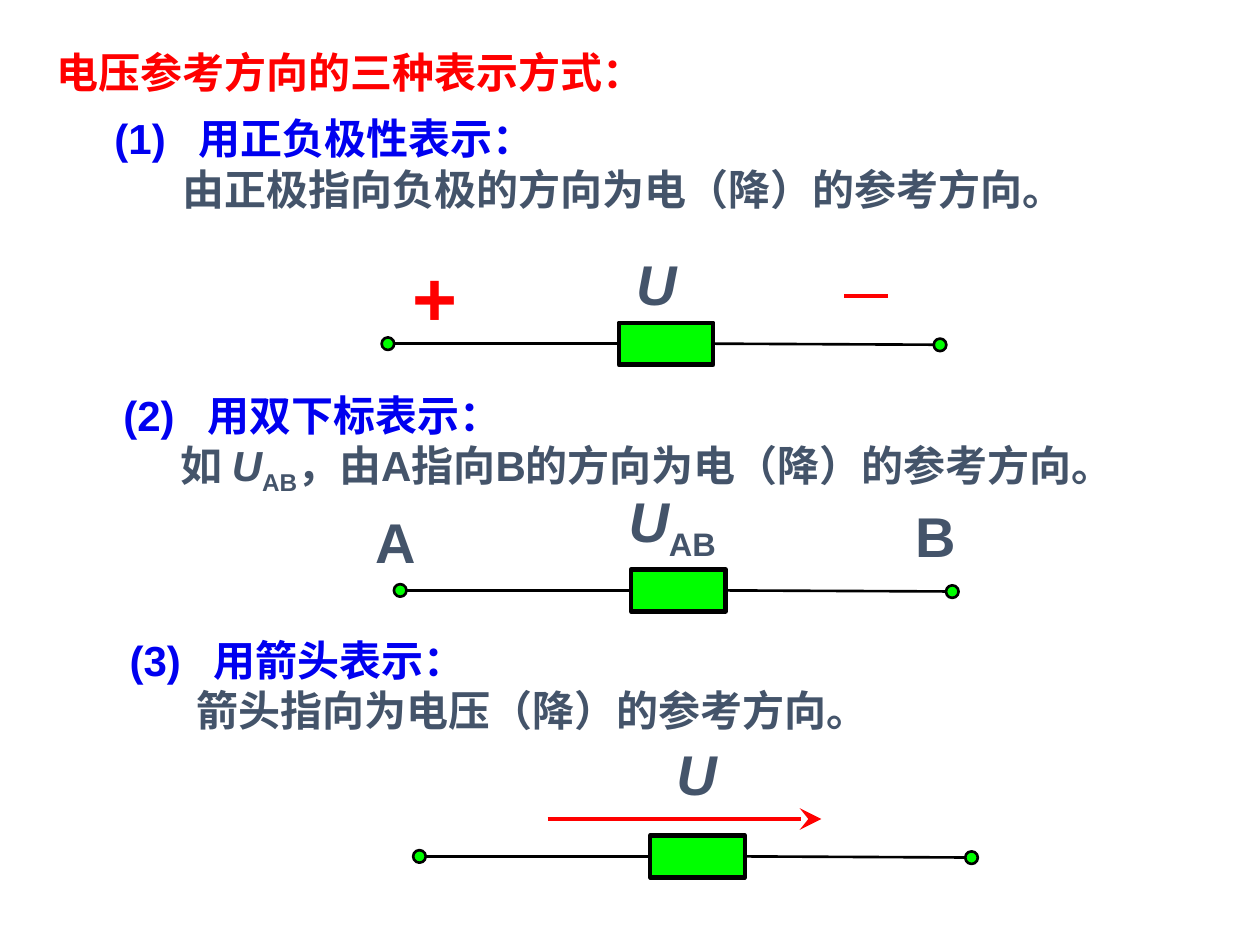
from lxml.etree import SubElement
from pptx import Presentation
from pptx.dml.color import RGBColor
from pptx.enum.shapes import MSO_CONNECTOR as Connector, MSO_SHAPE as Shape
from pptx.enum.text import MSO_ANCHOR as Anchor, PP_ALIGN as Align
from pptx.oxml.ns import qn
from pptx.util import Pt

RED = RGBColor(0xFF, 0x00, 0x00)
BLUE = RGBColor(0x00, 0x00, 0xF0)
SLATE = RGBColor(0x44, 0x54, 0x6A)
GREEN = RGBColor(0x00, 0xFF, 0x00)
BLACK = RGBColor(0x00, 0x00, 0x00)

presentation = Presentation()
presentation.slide_width, presentation.slide_height = Pt(720), Pt(540)
slide = presentation.slides.add_slide(presentation.slide_layouts[6])
shapes = slide.shapes


def add_text(left, top, width, height, paragraphs, align=Align.LEFT, wrap=True):
    """Each paragraph is (runs, size, colour, indent); a run is (text, style),
    where style is "", "italic" or "subscript"."""
    frame = shapes.add_textbox(Pt(left), Pt(top), Pt(width), Pt(height)).text_frame
    frame.word_wrap = wrap
    frame.vertical_anchor = Anchor.MIDDLE
    for index, (runs, size, colour, indent) in enumerate(paragraphs):
        paragraph = frame.add_paragraph() if index else frame.paragraphs[0]
        paragraph.alignment = align
        properties = paragraph._p.get_or_add_pPr()
        properties.set("marL", str(Pt(indent)))
        if "\t" in runs[0][0]:
            tabs = SubElement(properties, qn("a:tabLst"))
            SubElement(tabs, qn("a:tab"), pos=str(Pt(48)), algn="l")
        font = paragraph.font
        font.name, font.size, font.bold = "Arial", Pt(size), True
        font.color.rgb = colour
        for text, style in runs:
            run = paragraph.add_run()
            run.text = text
            if style == "italic":
                run.font.italic = True
            elif style == "subscript":
                run.font._element.set("baseline", "-25000")


def add_line(x1, y1, x2, y2, colour, width):
    line = shapes.add_connector(Connector.STRAIGHT, Pt(x1), Pt(y1), Pt(x2), Pt(y2))
    line.line.color.rgb = colour
    line.line.width = Pt(width)
    SubElement(line._element.spPr, qn("a:effectLst"))
    return line


# Title and the three explanations
add_text(25.2, 23, 392.4, 36, [([("电压参考方向的三种表示方式：", "")], 24, RED, 0)])

subscript_body = [
    ("如 ", ""), ("U", "italic"), ("AB", "subscript"),
    ("，由A指向B的方向为电（降）的参考方向。", ""),
]
sections = [
    (58.3, 60.5, 639, "(1)\t用正负极性表示：",
     [("由正极指向负极的方向为电（降）的参考方向。", "")], 39),
    (63.4, 220.3, 623, "(2)\t用双下标表示：", subscript_body, 32.5),
    (67, 358.6, 462, "(3)\t用箭头表示：",
     [("箭头指向为电压（降）的参考方向。", "")], 38),
]
for left, top, width, heading, body, indent in sections:
    add_text(left, top, width, 65.5,
             [([(heading, "")], 24, BLUE, 0), (body, 24, SLATE, indent)])

# Circuit labels
labels = [
    (356.4, 139, 37.4, 45.4, [("U", "italic")], 32, SLATE),
    (226, 139, 45.4, 60.5, [("+", "")], 44, RED),
    (207.4, 286.6, 37.4, 45.4, [("A", "")], 32, SLATE),
    (516.2, 283, 33.8, 46, [("B", "")], 32, SLATE),
    (350.6, 277.2, 67, 45.4, [("U", "italic"), ("AB", "subscript")], 32, SLATE),
    (379.4, 419, 37.4, 45.4, [("U", "italic")], 32, SLATE),
]
for left, top, width, height, runs, size, colour in labels:
    add_text(left, top, width, height, [(runs, size, colour, 0)], Align.CENTER, False)

# Minus sign and reference arrow
add_line(482.4, 169.2, 507.2, 169.2, RED, 2.5)
arrow = add_line(313, 468, 469.4, 468, RED, 2.5)
SubElement(arrow.line._get_or_add_ln(), qn("a:tailEnd"), type="stealth", w="lg", len="lg")

# Circuits: a resistor with a wire and a terminal on each side
for left, top in [(353.6, 184.4), (360.6, 325.4), (371.6, 477.4)]:
    middle = top + 12
    resistor = shapes.add_shape(Shape.RECTANGLE, Pt(left), Pt(top), Pt(54), Pt(24))
    left_wire = add_line(left, middle, left - 128.5, middle, BLACK, 1.5)
    left_wire.begin_connect(resistor, 1)
    right_wire = add_line(left + 54, middle, left + 180.5, middle + 0.6, BLACK, 1.5)
    right_wire.begin_connect(resistor, 3)
    terminals = [
        shapes.add_shape(Shape.OVAL, Pt(left + x), Pt(middle + y), Pt(7.2), Pt(7.2))
        for x, y in [(-135.5, -3.6), (180, -2.9)]
    ]
    for shape, width in zip([resistor, *terminals], [2.5, 1.5, 1.5]):
        shape.shadow.inherit = False
        shape.fill.solid()
        shape.fill.fore_color.rgb = GREEN
        shape.line.color.rgb = BLACK
        shape.line.width = Pt(width)

presentation.save("out.pptx")
